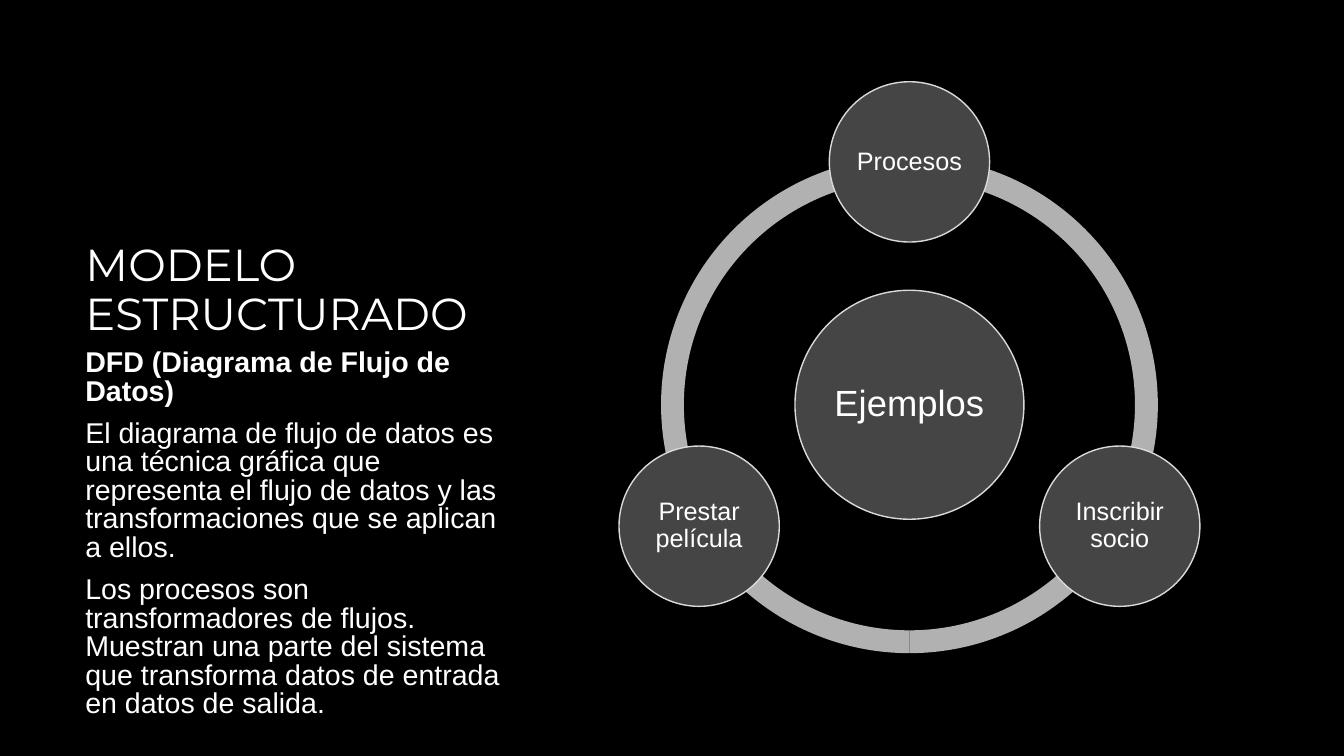
from math import cos, radians, sin

from pptx import Presentation
from pptx.dml.color import RGBColor
from pptx.enum.shapes import MSO_SHAPE as Shape
from pptx.enum.text import MSO_ANCHOR as Anchor, MSO_AUTO_SIZE as AutoSize, PP_ALIGN as Align
from pptx.util import Cm, Pt


def colour(value):
    return RGBColor.from_string(value)


class Slide:
    """Draws styled elements on one slide."""

    ground, ink = "000000", "FFFFFF"
    disc_fill, disc_line, ring_fill = "454545", "DADADA", "B1B1B1"
    title_font, body_font = "Montserrat", "Arial"

    def __init__(self, deck):
        self.page = deck.slides.add_slide(deck.slide_layouts[5])
        fill = self.page.background.fill
        fill.solid()
        fill.fore_color.rgb = colour(self.ground)

    def add_text(self, para, text, size, font, align=Align.LEFT, spacing=0.9, bold=False):
        para.alignment = align
        para.line_spacing = spacing
        para.space_before = Pt(0)
        span = para.add_run()
        span.text = text
        span.font.name = font
        span.font.size = Pt(size)
        span.font.bold = bold
        span.font.color.rgb = colour(self.ink)

    def title(self, text, left, top, width, height):
        box = self.page.shapes.title
        box.left, box.top, box.width, box.height = map(Cm, (left, top, width, height))
        frame = box.text_frame
        frame.word_wrap = True
        frame.auto_size = AutoSize.NONE
        frame.vertical_anchor = Anchor.BOTTOM
        self.add_text(frame.paragraphs[0], text, 32, self.title_font)

    def body(self, texts, left, top, width, height):
        box = self.page.shapes.add_textbox(*map(Cm, (left, top, width, height)))
        frame = box.text_frame
        frame.word_wrap = True
        for index, text in enumerate(texts):
            para = frame.add_paragraph() if index else frame.paragraphs[0]
            self.add_text(para, text, 20.4, self.body_font, spacing=0.83, bold=index == 0)
            if index:
                para.space_before = Pt(10)

    def centred(self, kind, x, y, size, fill):
        shape = self.page.shapes.add_shape(
            kind, Cm(x - size / 2), Cm(y - size / 2), Cm(size), Cm(size))
        shape.shadow.inherit = False
        shape.fill.solid()
        shape.fill.fore_color.rgb = colour(fill)
        return shape

    def arc(self, x, y, size, start, end):
        shape = self.centred(Shape.BLOCK_ARC, x, y, size, self.ring_fill)
        shape.line.fill.background()
        for index, value in enumerate((start * 0.6, end * 0.6, 0.046)):
            shape.adjustments[index] = value

    def disc(self, text, x, y, size, text_size):
        shape = self.centred(Shape.OVAL, x, y, size, self.disc_fill)
        shape.line.color.rgb = colour(self.disc_line)
        shape.line.width = Pt(1)
        frame = shape.text_frame
        frame.word_wrap = True
        frame.vertical_anchor = Anchor.MIDDLE
        frame.margin_left = frame.margin_right = Cm(0.08)
        frame.margin_top = frame.margin_bottom = Cm(0.08)
        self.add_text(frame.paragraphs[0], text, text_size, self.body_font, Align.CENTER)


def main():
    deck = Presentation()
    deck.slide_width, deck.slide_height = Cm(33.87), Cm(19.05)
    slide = Slide(deck)

    slide.title("MODELO ESTRUCTURADO", 1.9, 4.24, 11.43, 4.45)
    slide.body((
        "DFD (Diagrama de Flujo de Datos)",
        "El diagrama de flujo de datos es una técnica gráfica que representa "
        "el flujo de datos y las transformaciones que se aplican a ellos.",
        "Los procesos son transformadores de flujos. Muestran una parte del "
        "sistema que transforma datos de entrada en datos de salida.",
    ), 1.9, 8.69, 11.43, 8.59)

    x, y, orbit = 22.92, 10.2, 6.12
    for start, end in ((90, 162), (18, 90), (162, 18)):
        slide.arc(x, y, 12.52, start, end)
    slide.disc("Ejemplos", x, y, 5.77, 26)
    for index, text in enumerate(("Procesos", "Inscribir socio", "Prestar película")):
        angle = radians(120 * index - 90)
        slide.disc(text, x + orbit * cos(angle), y + orbit * sin(angle), 4.04, 18)

    deck.save("out.pptx")


if __name__ == "__main__":
    main()
